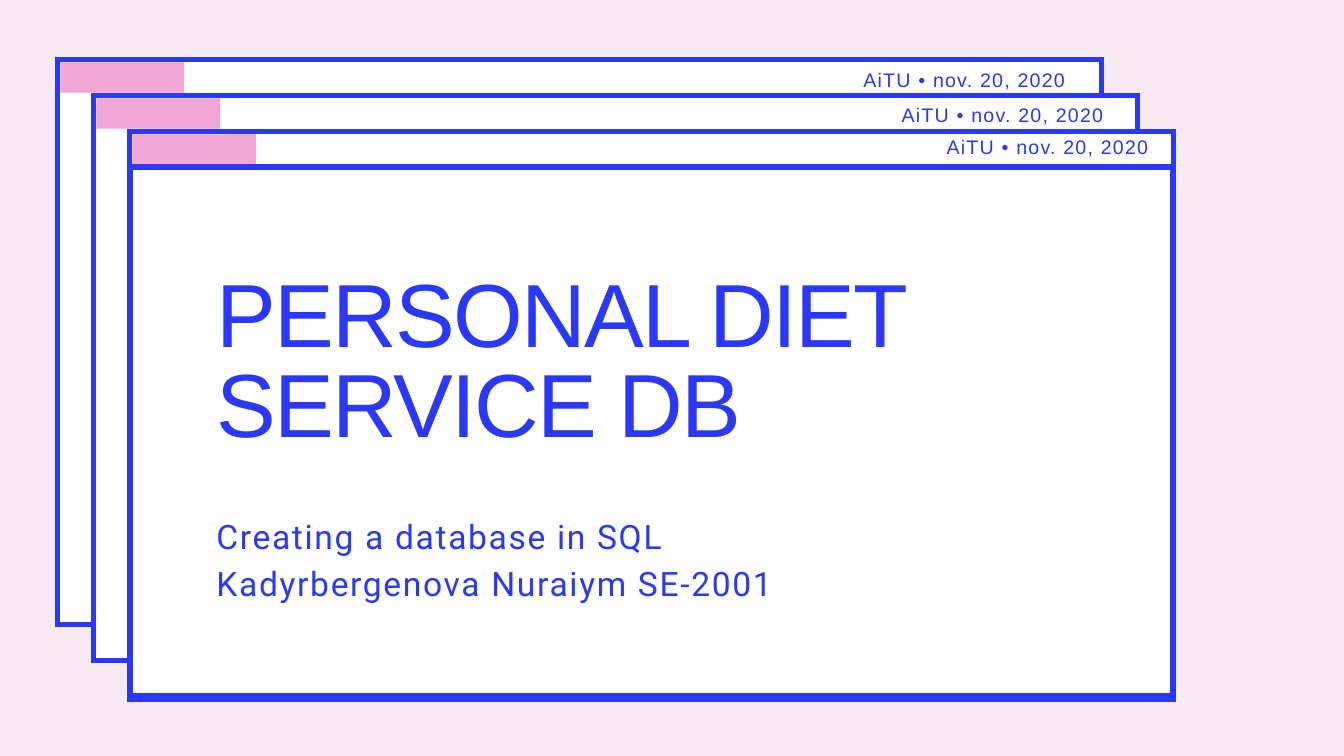
from pptx import Presentation
from pptx.dml.color import RGBColor
from pptx.enum.shapes import MSO_SHAPE
from pptx.enum.text import PP_ALIGN
from pptx.oxml.ns import qn
from pptx.util import Inches, Pt
from lxml import etree

RECTANGLE = MSO_SHAPE.RECTANGLE
LEFT, RIGHT = PP_ALIGN.LEFT, PP_ALIGN.RIGHT

BLUE, PINK, WHITE, BACKGROUND = "2938FA", "F1A5D6", "FFFFFF", "F8EAF3"

WINDOW_LEFT, WINDOW_TOP = 0.86, 0.89
WINDOW_WIDTH, WINDOW_HEIGHT = 15.53, 8.4
WINDOW_STEP = 0.535
BORDER = 0.08
BODY_BORDER = 0.09
TAB_WIDTH, TAB_HEIGHT = 1.84, 0.45
LABEL_WIDTH, LABEL_HEIGHT = 14.73, 0.38
LABEL_CORNERS = [(1.12, 0.95), (1.69, 1.47), (2.36, 1.95)]
CONTENT_LEFT = 3.22


def color(hex_value):
    return RGBColor.from_string(hex_value)


def add_rectangle(slide, left, top, width, height, fill=None, border=0):
    """Add a rectangle whose border, in inches, is centred on its edge."""
    shape = slide.shapes.add_shape(
        RECTANGLE, Inches(left), Inches(top), Inches(width), Inches(height))
    shape.shadow.inherit = False
    if fill:
        shape.fill.solid()
        shape.fill.fore_color.rgb = color(fill)
    else:
        shape.fill.background()
    if border:
        shape.line.color.rgb = color(BLUE)
        shape.line.width = Inches(border)
        line = shape.element.spPr.find(qn("a:ln"))
        etree.SubElement(line, qn("a:miter"), lim="800000")
    else:
        shape.line.fill.background()


def add_text(slide, box, lines, font, size, line_spacing, tracking, align=LEFT):
    """Add one paragraph per line; tracking is in points."""
    frame = slide.shapes.add_textbox(*map(Inches, box)).text_frame
    frame.word_wrap = True
    frame.margin_left = frame.margin_right = 0
    frame.margin_top = frame.margin_bottom = 0
    for index, line in enumerate(lines):
        paragraph = frame.add_paragraph() if index else frame.paragraphs[0]
        paragraph.alignment = align
        paragraph.line_spacing = Pt(line_spacing)
        run = paragraph.add_run()
        run.text = line
        run.font.name = font
        run.font.size = Pt(size)
        run.font.color.rgb = color(BLUE)
        run.font._element.set("spc", str(round(tracking * 100)))


def add_window(slide, index, label_corner):
    left = WINDOW_LEFT + index * WINDOW_STEP
    top = WINDOW_TOP + index * WINDOW_STEP
    add_rectangle(slide, left, top, WINDOW_WIDTH, WINDOW_HEIGHT, WHITE, BORDER)
    add_rectangle(slide, left + BORDER / 2, top + BORDER / 2,
                  TAB_WIDTH, TAB_HEIGHT, PINK)
    add_text(slide, (*label_corner, LABEL_WIDTH, LABEL_HEIGHT),
             ["AiTU • nov. 20, 2020"], "Arial", 21, 29.4, 1.3, RIGHT)


def main():
    presentation = Presentation()
    presentation.slide_width = Inches(20)
    presentation.slide_height = Inches(11.25)
    slide = presentation.slides.add_slide(presentation.slide_layouts[6])
    slide.background.fill.solid()
    slide.background.fill.fore_color.rgb = color(BACKGROUND)

    for index, corner in enumerate(LABEL_CORNERS):
        add_window(slide, index, corner)

    inset = BODY_BORDER / 2
    add_rectangle(slide, 1.89 + inset, 2.44 + inset,
                  15.61 - BODY_BORDER, 8.01 - BODY_BORDER, border=BODY_BORDER)
    add_text(slide, (CONTENT_LEFT, 7.58, 11.83, 1.35),
             ["Creating a database in SQL", "Kadyrbergenova Nuraiym SE-2001"],
             "Roboto", 36, 50.4, 1.8)
    add_text(slide, (CONTENT_LEFT, 4.11, 12.95, 2.77),
             ["PERSONAL DIET SERVICE DB"], "Arial", 96, 96, -1.9)

    presentation.save("out.pptx")


if __name__ == "__main__":
    main()
